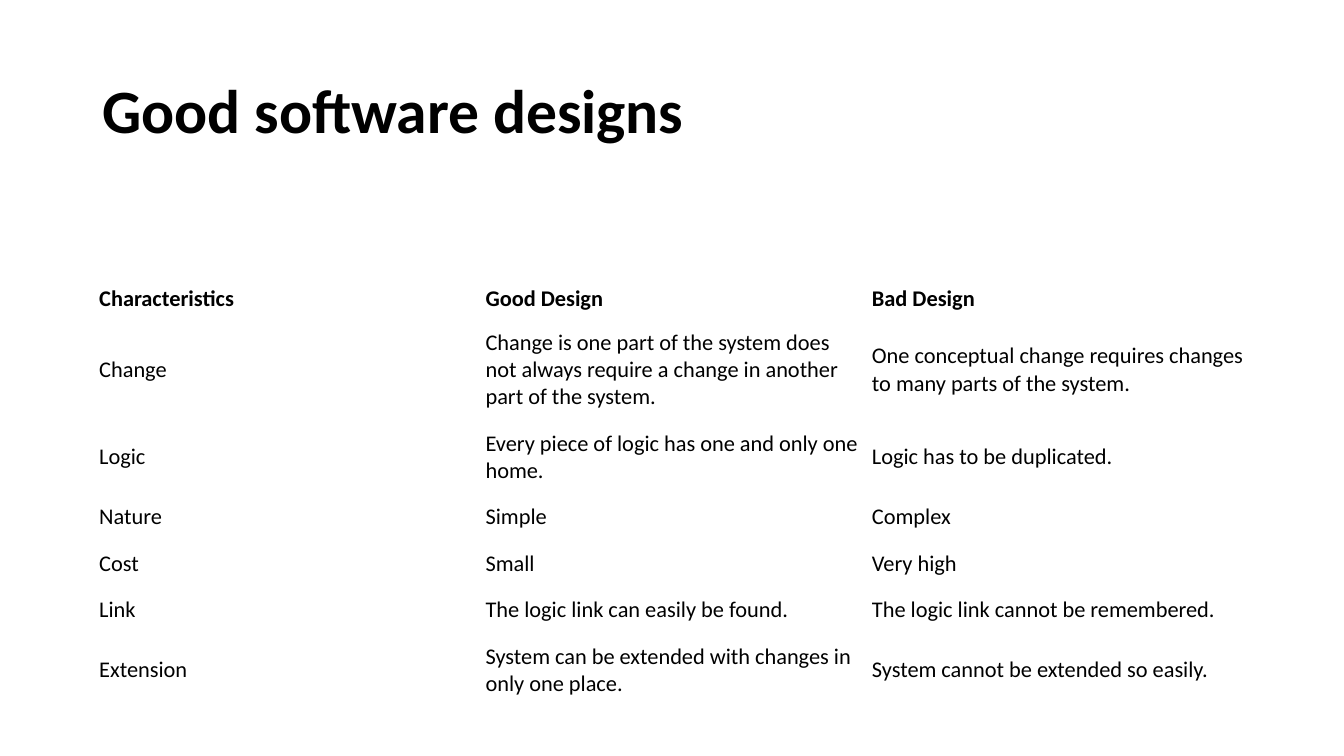
from dataclasses import dataclass

import pptx
import pptx.dml.color
import pptx.enum.text
import pptx.util

Pt = pptx.util.Pt
MIDDLE = pptx.enum.text.MSO_ANCHOR.MIDDLE


@dataclass(frozen=True)
class Theme:
    font: str = "Calibri"
    ink: str = "000000"
    paper: str = "FFFFFF"
    title_size: float = 44
    body_size: float = 16
    line_height: float = 19.5


@dataclass(frozen=True)
class Row:
    texts: tuple[str, str, str]
    lines: int = 1
    header: bool = False

    @property
    def pad(self) -> float:
        return 4.88 if self.header else 6.84

    @property
    def height(self) -> float:
        return self.lines * THEME.line_height + 2 * self.pad


THEME = Theme()
LEFT, WIDTH = 66, 828
TITLE_TOP, TITLE_HEIGHT = 28.75, 104.4
TABLE_TOP = 198.7
SIDE_PAD = 4.88

ROWS = [
    Row(("Characteristics", "Good Design", "Bad Design"), header=True),
    Row(("Change",
         "Change is one part of the system does not always require "
         "a change in another part of the system.",
         "One conceptual change requires changes to many parts of the system."), 3),
    Row(("Logic", "Every piece of logic has one and only one home.",
         "Logic has to be duplicated."), 2),
    Row(("Nature", "Simple", "Complex")),
    Row(("Cost", "Small", "Very high")),
    Row(("Link", "The logic link can easily be found.",
         "The logic link cannot be remembered.")),
    Row(("Extension", "System can be extended with changes in only one place.",
         "System cannot be extended so easily."), 2),
]


def rgb(value: str) -> pptx.dml.color.RGBColor:
    return pptx.dml.color.RGBColor.from_string(value)


def write(tf, text: str, *, size: float, bold: bool = False,
          spacing: float | None = None) -> None:
    tf.word_wrap = True
    p = tf.paragraphs[0]
    p.line_spacing = spacing
    r = p.add_run()
    r.text = text
    r.font.name = THEME.font
    r.font.size = Pt(size)
    r.font.bold = bold
    r.font.color.rgb = rgb(THEME.ink)


def add_title(s, text: str) -> None:
    sp = s.shapes.add_textbox(Pt(LEFT), Pt(TITLE_TOP), Pt(WIDTH), Pt(TITLE_HEIGHT))
    sp.text_frame.vertical_anchor = MIDDLE
    write(sp.text_frame, text, size=THEME.title_size, bold=True, spacing=0.9)


def add_comparison(s, rows: list[Row]) -> None:
    columns = len(rows[0].texts)
    height = sum(row.height for row in rows)
    table = s.shapes.add_table(len(rows), columns, Pt(LEFT), Pt(TABLE_TOP),
                               Pt(WIDTH), Pt(height)).table
    table.horz_banding = False
    for column in table.columns:
        column.width = Pt(WIDTH / columns)
    for i, row in enumerate(rows):
        table.rows[i].height = Pt(row.height)
        for j, text in enumerate(row.texts):
            cell = table.cell(i, j)
            cell.fill.solid()
            cell.fill.fore_color.rgb = rgb(THEME.paper)
            cell.vertical_anchor = MIDDLE
            cell.margin_left = cell.margin_right = Pt(SIDE_PAD)
            cell.margin_top = cell.margin_bottom = Pt(row.pad)
            write(cell.text_frame, text, size=THEME.body_size, bold=row.header)


def main() -> None:
    prs = pptx.Presentation()
    prs.slide_width, prs.slide_height = Pt(960), Pt(540)
    s = prs.slides.add_slide(prs.slide_layouts[6])
    add_title(s, "Good software designs")
    add_comparison(s, ROWS)
    prs.save("out.pptx")


if __name__ == "__main__":
    main()
